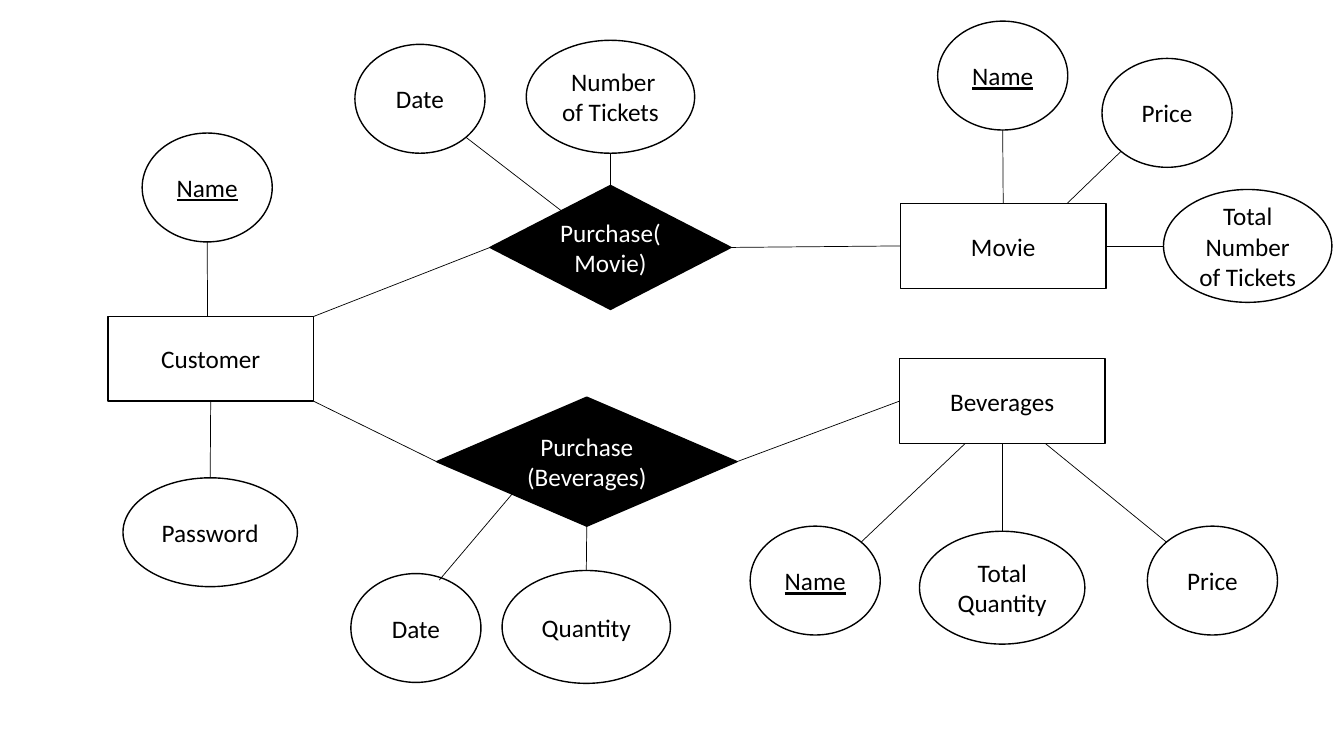
from lxml import etree
from pptx import Presentation
from pptx.dml.color import RGBColor
from pptx.enum.shapes import MSO_CONNECTOR, MSO_SHAPE
from pptx.enum.text import MSO_ANCHOR, PP_ALIGN
from pptx.oxml.ns import qn
from pptx.util import Inches, Pt

RECT, DIAMOND, OVAL = MSO_SHAPE.RECTANGLE, MSO_SHAPE.DIAMOND, MSO_SHAPE.OVAL
STRAIGHT = MSO_CONNECTOR.STRAIGHT
MIDDLE, CENTER = MSO_ANCHOR.MIDDLE, PP_ALIGN.CENTER

COLORS = {"ink": "000000", "paper": "FFFFFF"}
SMALL, WIDE = (1.29, 1.08), (1.67, 1.12)
ENTITY = (2.04, 0.84)

TOP, LEFT, BOTTOM, RIGHT = (0.5, 0), (0, 0.5), (0.5, 1), (1, 0.5)
SITES = [TOP, LEFT, BOTTOM, RIGHT]
NEAR, FAR = 0.146, 0.854

# Attribute: text, offset from the cluster box, size, key, anchor on the box, anchor on the oval
CLUSTERS = {
    "customer": (RECT, (1.07, 3.14, *ENTITY), "Customer", [
        ("Name", (0.34, -1.82), SMALL, True, (0.485, 0), BOTTOM),
        ("Password", (0.15, 1.6), (1.73, 1.08), False, BOTTOM, TOP),
    ]),
    "movie": (RECT, (8.93, 2.02, *ENTITY), "Movie", [
        ("Name", (0.37, -1.81), SMALL, True, TOP, BOTTOM),
        ("Price", (2.0, -1.44), SMALL, False, (0.81, 0), (NEAR, FAR)),
        ("Total Number of Tickets", (2.61, -0.14), WIDE, False, RIGHT, LEFT),
    ]),
    "beverages": (RECT, (8.92, 3.56, *ENTITY), "Beverages", [
        ("Name", (-1.48, 1.66), SMALL, True, (0.32, 1), (FAR, NEAR)),
        ("Total Quantity", (0.2, 1.71), (1.64, 1.12), False, BOTTOM, TOP),
        ("Price", (2.46, 1.66), SMALL, False, (0.71, 1), (NEAR, NEAR)),
    ]),
    "movie purchase": (DIAMOND, (4.86, 1.84, 2.39, 1.23), "Purchase(Movie)", [
        ("Date", (-1.34, -1.4), SMALL, False, (0.32, 0.24), (FAR, FAR)),
        (" Number of Tickets", (0.36, -1.44), WIDE, False, TOP, BOTTOM),
    ]),
    "beverage purchase": (DIAMOND, (4.33, 3.94, 2.98, 1.28), "Purchase\n(Beverages)", [
        ("Date", (-0.85, 1.75), SMALL, False, (0.27, 0.7), (0.68, 0.06)),
        ("Quantity", (0.65, 1.72), WIDE, False, BOTTOM, TOP),
    ]),
}

RELATIONS = [
    ("customer", (1, 0), "movie purchase", LEFT),
    ("customer", (1, 1), "beverage purchase", LEFT),
    ("movie purchase", RIGHT, "movie", LEFT),
    ("beverage purchase", RIGHT, "beverages", LEFT),
]


def color(name):
    return RGBColor.from_string(COLORS[name])


def add_node(s, kind, box, text, key=False):
    fill, ink = ("ink", "paper") if kind == DIAMOND else ("paper", "ink")
    sp = s.shapes.add_shape(kind, *map(Inches, box))
    sp.shadow.inherit = False
    sp.fill.solid()
    sp.fill.fore_color.rgb = color(fill)
    sp.line.color.rgb = color("ink")
    sp.line.width = Pt(1)
    tf = sp.text_frame
    tf.word_wrap = True
    tf.vertical_anchor = MIDDLE
    tf.text = text
    for p in tf.paragraphs:
        p.alignment = CENTER
        p.font.name = "Calibri"
        p.font.size = Pt(18)
        p.font.color.rgb = color(ink)
        if key:
            p.font.underline = True
    return sp


def point(sp, anchor):
    return int(sp.left + anchor[0] * sp.width), int(sp.top + anchor[1] * sp.height)


def link(s, start, start_anchor, end, end_anchor):
    cx = s.shapes.add_connector(STRAIGHT, *point(start, start_anchor), *point(end, end_anchor))
    cx.line.color.rgb = color("ink")
    cx.line.width = Pt(0.5)
    etree.SubElement(cx.element.spPr, qn("a:effectLst"))
    ends = [(start, start_anchor, cx.begin_connect), (end, end_anchor, cx.end_connect)]
    for sp, anchor, connect in ends:
        if sp.auto_shape_type != OVAL and anchor in SITES:
            connect(sp, SITES.index(anchor))


def draw_cluster(s, kind, box, text, attributes):
    centre = add_node(s, kind, box, text)
    for label, (dx, dy), size, key, anchor, oval_anchor in attributes:
        oval = add_node(s, OVAL, (box[0] + dx, box[1] + dy, *size), label, key)
        link(s, centre, anchor, oval, oval_anchor)
    return centre


def main():
    prs = Presentation()
    prs.slide_width, prs.slide_height = Inches(13.33), Inches(7.5)
    s = prs.slides.add_slide(prs.slide_layouts[6])
    centres = {name: draw_cluster(s, *cluster) for name, cluster in CLUSTERS.items()}
    for start, start_anchor, end, end_anchor in RELATIONS:
        link(s, centres[start], start_anchor, centres[end], end_anchor)
    prs.save("out.pptx")


if __name__ == "__main__":
    main()
